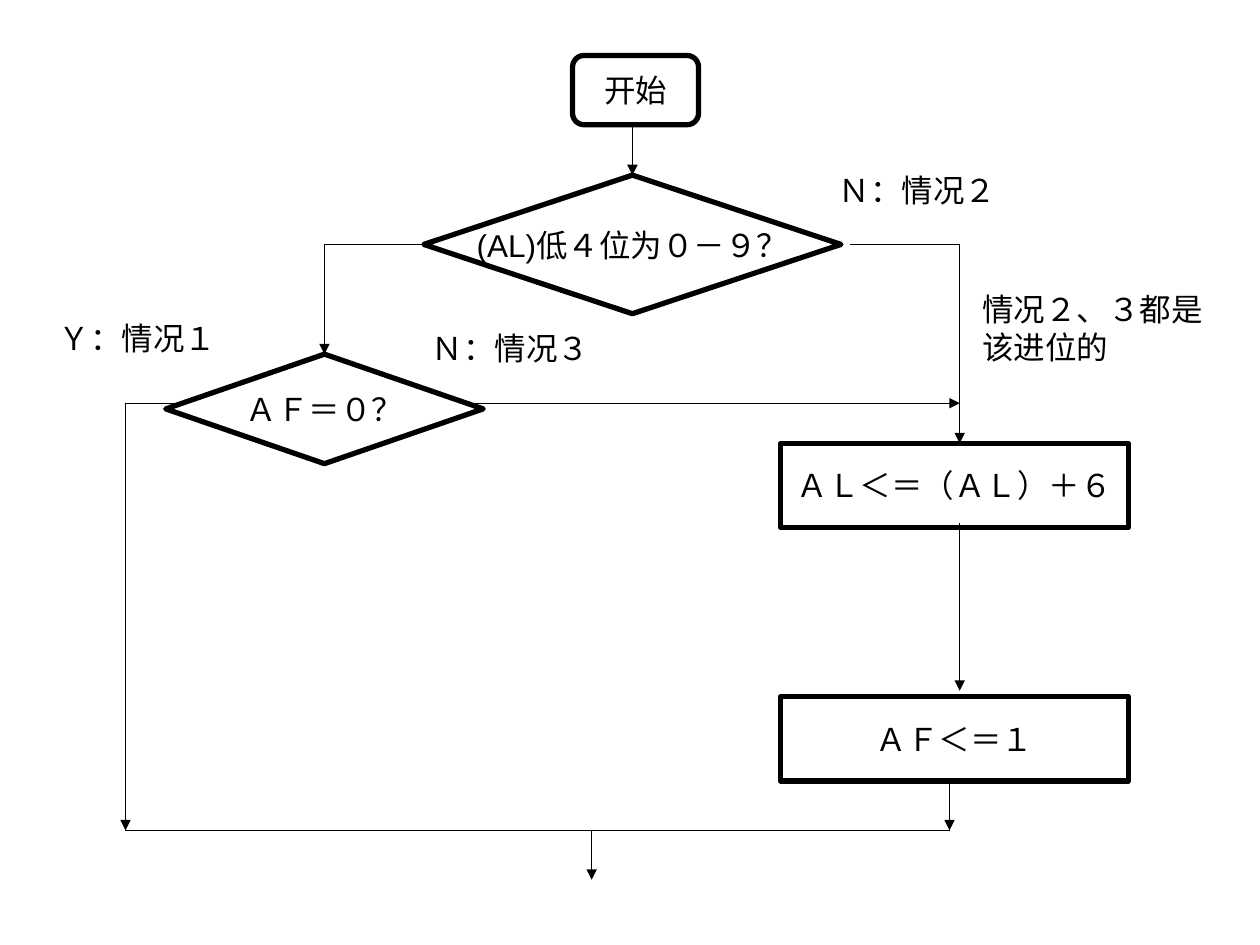
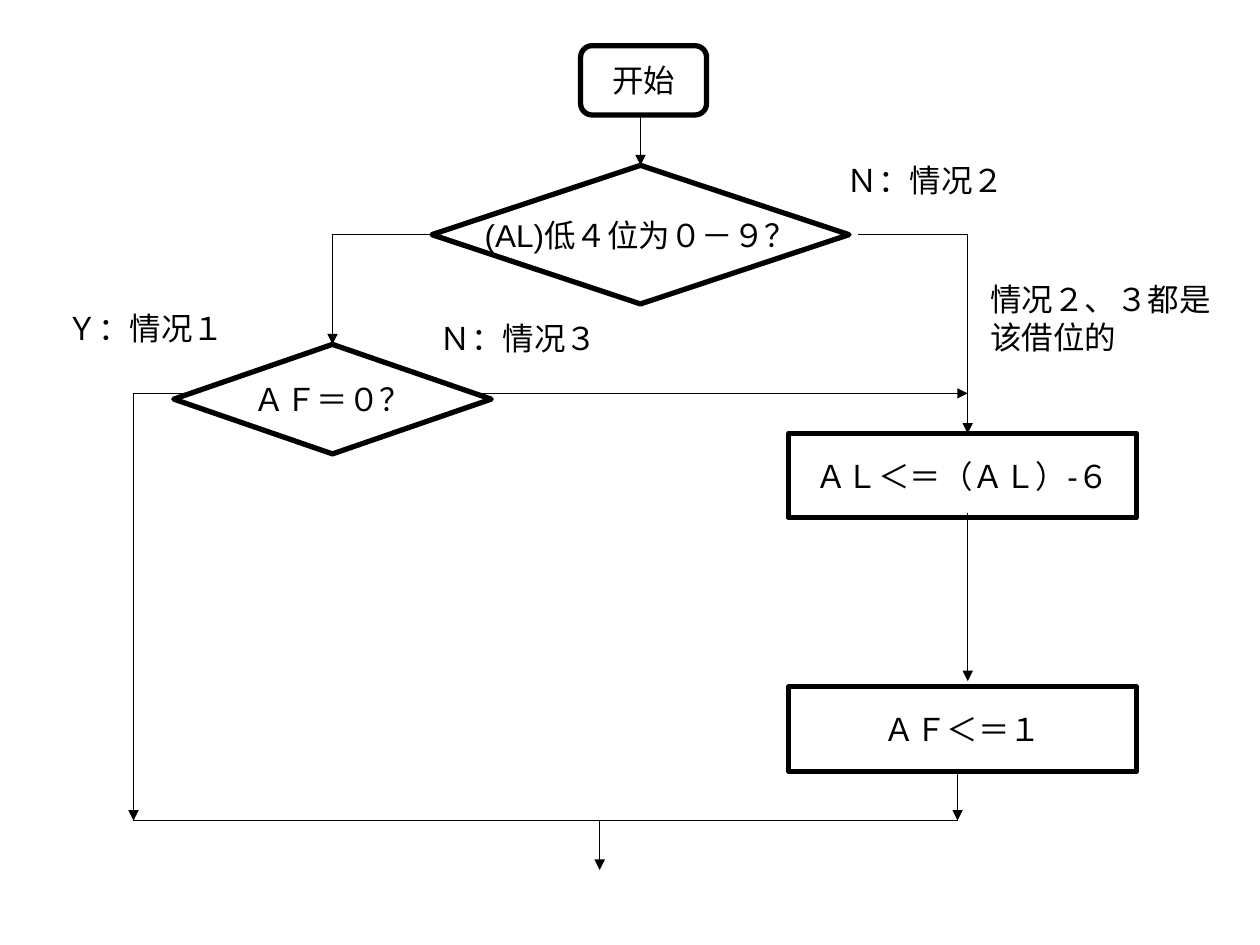
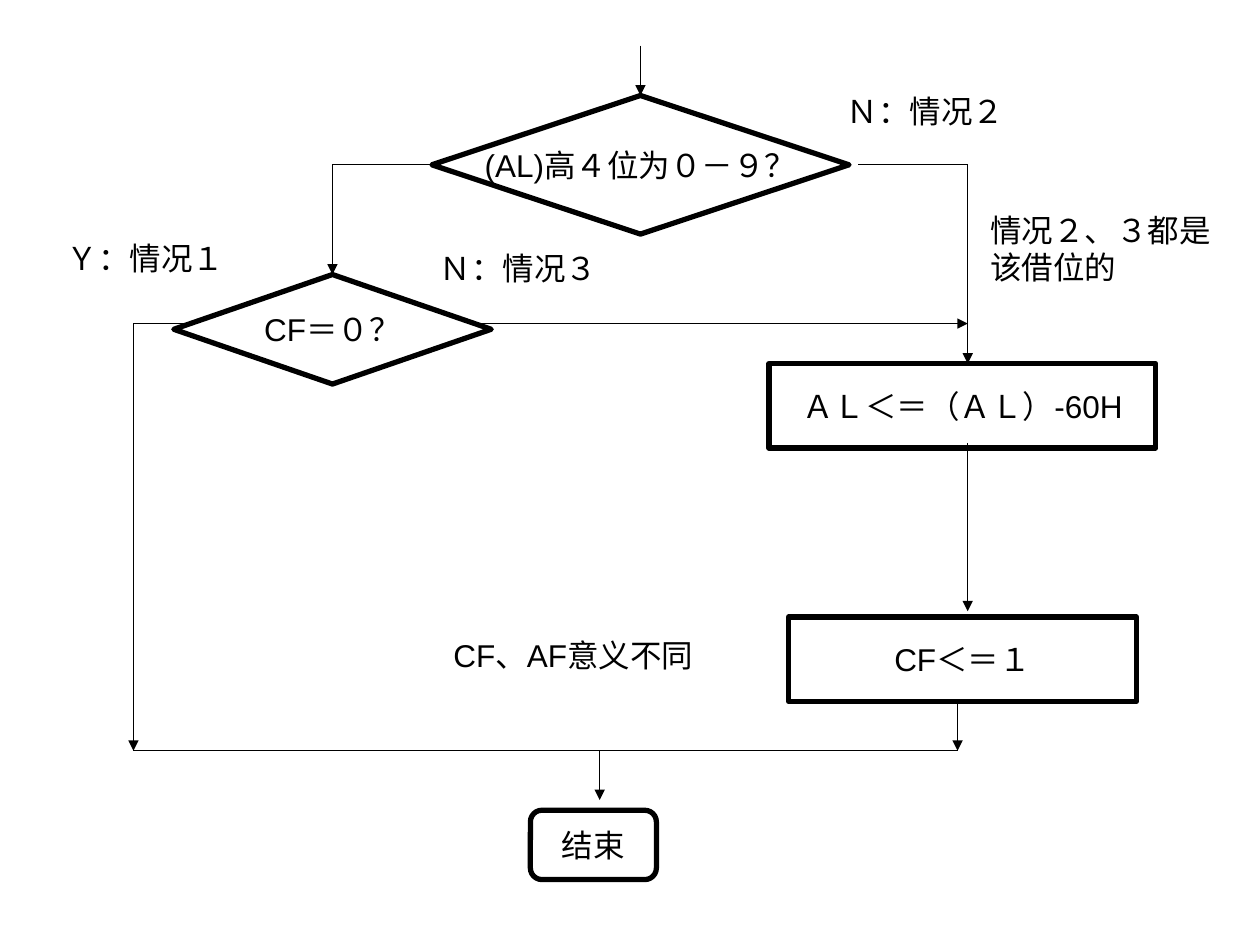
"""Build three flowcharts of decimal adjustment after addition and subtraction."""
import dataclasses

import pptx
import pptx.dml.color
import pptx.enum.shapes
import pptx.enum.text
import pptx.oxml
import pptx.oxml.ns
import pptx.util

Pt = pptx.util.Pt
Kind = pptx.enum.shapes.MSO_SHAPE
TOP, LEFT = 0, 1


@dataclasses.dataclass(frozen=True)
class Theme:
    ink: pptx.dml.color.RGBColor = pptx.dml.color.RGBColor(0, 0, 0)
    font: str = "Arial"
    text_size: float = 18
    outline: float = 3
    arrow: float = 0.75


class Flowchart:
    def __init__(self, deck, theme):
        self.deck = deck
        self.theme = theme

    def start_page(self, center, top):
        self.page = self.deck.slides.add_slide(self.deck.slide_layouts[6])
        self.center, self.top = center, top

    def place(self, x, y):
        return Pt(self.center + x), Pt(self.top + y)

    def add_lines(self, frame, lines, align):
        frame.word_wrap = False
        for index, line in enumerate(lines):
            para = frame.paragraphs[0] if index == 0 else frame.add_paragraph()
            para.alignment = align
            span = para.add_run()
            span.text = line
            span.font.name = self.theme.font
            span.font.size = Pt(self.theme.text_size)
            span.font.color.rgb = self.theme.ink

    def label(self, x, y, width, *lines):
        height = 7.2 + 21.6 * len(lines)
        box = self.page.shapes.add_textbox(*self.place(x, y), Pt(width), Pt(height))
        box.text_frame.auto_size = pptx.enum.text.MSO_AUTO_SIZE.SHAPE_TO_FIT_TEXT
        self.add_lines(box.text_frame, lines, pptx.enum.text.PP_ALIGN.LEFT)

    def node(self, kind, middle, y, width, height, text):
        corner = self.place(middle - width / 2, y)
        shape = self.page.shapes.add_shape(kind, *corner, Pt(width), Pt(height))
        shape.shadow.inherit = False
        shape.fill.background()
        shape.line.color.rgb = self.theme.ink
        shape.line.width = Pt(self.theme.outline)
        shape.text_frame.vertical_anchor = pptx.enum.text.MSO_ANCHOR.MIDDLE
        self.add_lines(shape.text_frame, [text], pptx.enum.text.PP_ALIGN.CENTER)
        return shape

    def terminal(self, middle, y, text):
        return self.node(Kind.FLOWCHART_ALTERNATE_PROCESS, middle, y, 72, 39.6, text)

    def decision(self, middle, y, width, height, text):
        return self.node(Kind.FLOWCHART_DECISION, middle, y, width, height, text)

    def process(self, y, text, width=198.7):
        return self.node(Kind.FLOWCHART_PROCESS, 184, y, width, 48.2, text)

    def line(self, start, end, arrow=True, leaves=None, enters=None):
        connector = self.page.shapes.add_connector(
            pptx.enum.shapes.MSO_CONNECTOR.STRAIGHT, *self.place(*start), *self.place(*end))
        connector.line.color.rgb = self.theme.ink
        connector.line.width = Pt(self.theme.arrow)
        if leaves:
            connector.begin_connect(*leaves)
        if enters:
            connector.end_connect(*enters)
        properties = connector._element.spPr
        if arrow:
            tail = pptx.oxml.parse_xml(
                f'<a:tailEnd {pptx.oxml.ns.nsdecls("a")} type="triangle"/>')
            properties.get_or_add_ln().append(tail)
        effects = pptx.oxml.parse_xml(f'<a:effectLst {pptx.oxml.ns.nsdecls("a")}/>')
        properties.append(effects)

    def draw(self, digit, flag, adjust, result, verb, adjust_width=198.7):
        yes_x, no_x, return_x, out_x, exit_x = -176, 187, -289.7, 181.2, -23.3
        digit_y, flag_y, merge_y = 39.6, 130.3, 374.4

        self.label(-335, 78.5, 104.4, "Ｙ：情况１")
        self.label(110.8, -5.8, 104.4, "Ｎ：情况２")
        self.label(192.8, 62.2, 140.4, "情况２、３都是", f"该{verb}位的")
        self.label(-121.8, 84.2, 104.4, "Ｎ：情况３")

        digit_test = self.decision(0, 0, 238.4, 79.2, digit)
        flag_test = self.decision(yes_x, 102.3, 181.4, 62.6, flag)
        self.process(153.2, adjust, adjust_width)
        self.process(298, result)

        self.line((0, -28.5), (0, 0), enters=(digit_test, TOP))
        self.line((-119.2, digit_y), (yes_x, digit_y), False, leaves=(digit_test, LEFT))
        self.line((yes_x, digit_y), (yes_x, 102.3), enters=(flag_test, TOP))
        self.line((124.4, digit_y), (no_x, digit_y), False)
        self.line((no_x, digit_y), (no_x, 153.2))
        self.line((-91, flag_y), (no_x, flag_y))
        self.line((no_x, 198.5), (no_x, 294.7))
        self.line((-260.8, flag_y), (return_x, flag_y), False)
        self.line((return_x, flag_y), (return_x, merge_y))
        self.line((out_x, 345.8), (out_x, merge_y))
        self.line((out_x, merge_y), (return_x, merge_y), False)
        self.line((exit_x, merge_y), (exit_x, 402.6))


def main():
    deck = pptx.Presentation()
    deck.slide_width, deck.slide_height = Pt(720), Pt(540)
    chart = Flowchart(deck, Theme())

    low_digit = [
        (361.4, 100.1, "ＡＬ＜＝（ＡＬ）＋６", "进"),
        (366, 94.5, "ＡＬ＜＝（ＡＬ）-６", "借"),
    ]
    for center, top, adjust, verb in low_digit:
        chart.start_page(center, top)
        chart.terminal(1.8, -68.4, "开始")
        chart.draw("(AL)低４位为０－９？", "ＡＦ＝０？", adjust, "ＡＦ＜＝１", verb)

    chart.start_page(366, 54.6)
    chart.draw("(AL)高４位为０－９？", "CF＝０？", "ＡＬ＜＝（ＡＬ）-60H", "CF＜＝１", "借", 221)
    chart.terminal(-26.9, 408.4, "结束")
    chart.label(-114, 305.4, 164.2, "CF、AF意义不同")

    deck.save("out.pptx")


if __name__ == "__main__":
    main()
